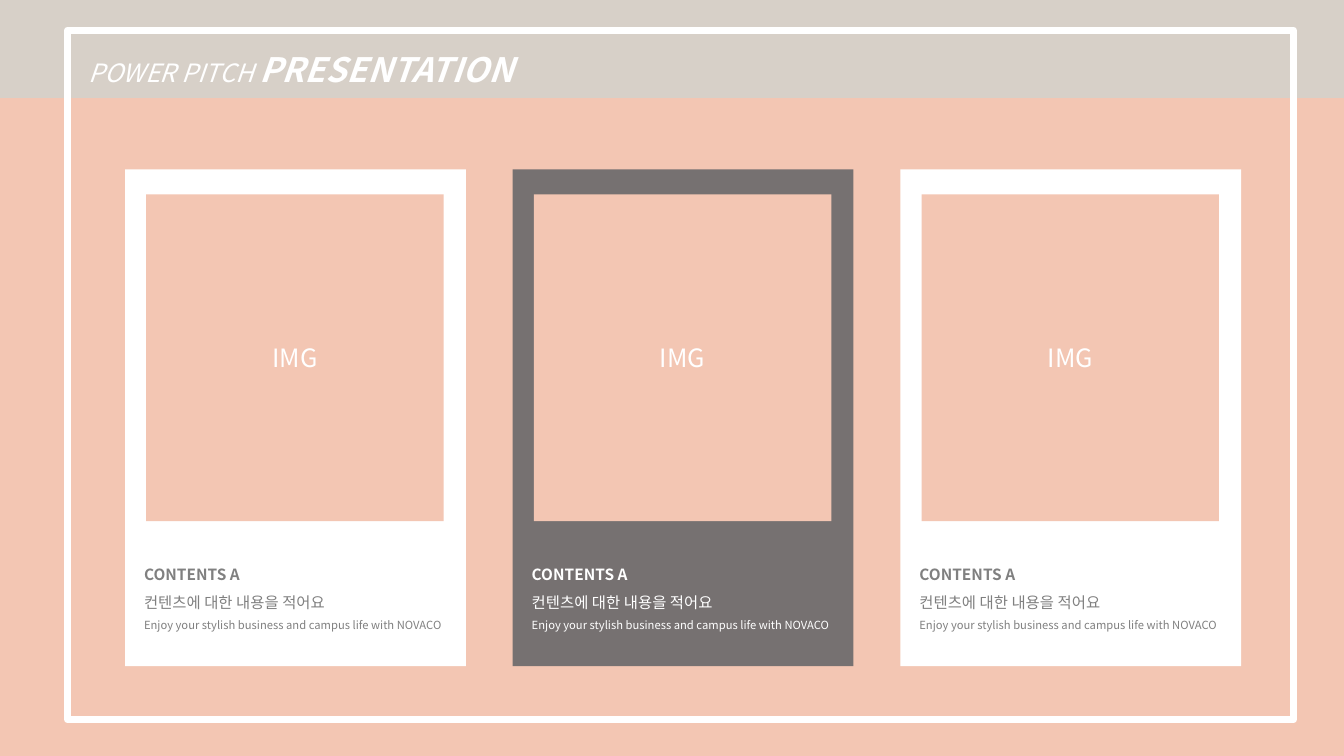
"""Build a slide with three image cards inside a white frame."""
import pptx
import pptx.util
import pptx.dml.color
import pptx.enum.text
import pptx.enum.shapes
import pptx.oxml.ns
import lxml.etree

FONT = "Noto Sans CJK KR"
COLORS = {"peach": "F3C6B3", "sand": "D7D0C8", "white": "FFFFFF",
          "dark": "767171", "gray": "808080"}
TITLE = [[("POWER PITCH ", {"size": 18, "italic": True}),
          ("PRESENTATION", {"size": 24, "italic": True, "bold": True})]]
BODY = [[("CONTENTS A", {"size": 11, "bold": True})],
        [("컨텐츠에 대한 내용을 적어요", {"size": 11})],
        [("Enjoy your stylish business and campus life with NOVACO", {"size": 8})]]
IMAGE = [[("IMG", {"size": 18})]]
CARDS = [("white", "gray"), ("dark", "white"), ("white", "gray")]
LEFT, STEP = 1.24, 3.845

Inches, Pt = pptx.util.Inches, pptx.util.Pt
Align, Anchor = pptx.enum.text.PP_ALIGN, pptx.enum.text.MSO_ANCHOR


def tint(name):
    return pptx.dml.color.RGBColor.from_string(COLORS[name])


def write(frame, paras, color, **layout):
    frame.word_wrap = True
    for i, runs in enumerate(paras):
        para = frame.add_paragraph() if i else frame.paragraphs[0]
        for key, value in layout.items():
            setattr(para, key, value)
        for text, style in runs:
            run = para.add_run()
            run.text = text
            run.font.color.rgb = tint(color)
            for key, value in {"name": FONT, **style}.items():
                setattr(run.font, key, Pt(value) if key == "size" else value)
            tag = pptx.oxml.ns.qn("a:ea")
            lxml.etree.SubElement(run.font._element, tag, typeface=FONT)


def add_box(area, fill=None, line=None):
    kind = pptx.enum.shapes.MSO_SHAPE.RECTANGLE
    box = slide.shapes.add_shape(kind, *map(Inches, area))
    box.shadow.inherit = False
    for part, name in ((box.fill, fill), (box.line.fill, line)):
        if name:
            part.solid()
            part.fore_color.rgb = tint(name)
        else:
            part.background()
    return box


def add_text(area, paras, color):
    frame = slide.shapes.add_textbox(*map(Inches, area)).text_frame
    write(frame, paras, color, line_spacing=1.5)
    frame.auto_size = pptx.enum.text.MSO_AUTO_SIZE.SHAPE_TO_FIT_TEXT


deck = pptx.Presentation()
deck.slide_width, deck.slide_height = Inches(13.33), Inches(7.5)
slide = deck.slides.add_slide(deck.slide_layouts[6])

back = slide.background.fill
back.gradient()
back.gradient_angle = 90
for stop, name in zip(back.gradient_stops, ("peach", "sand")):
    stop.position = 0.87
    stop.color.rgb = tint(name)

border = add_box((0.67, 0.3, 12.16, 6.84), line="white")
border.line.width = Pt(5)
add_text((0.78, 0.24, 5.88, 0.63), TITLE, "white")

for i, (fill, ink) in enumerate(CARDS):
    x = LEFT + i * STEP
    add_box((x, 1.68, 3.38, 4.93), fill)
    image = add_box((x + 0.21, 1.93, 2.95, 3.24), "peach")
    image.text_frame.vertical_anchor = Anchor.MIDDLE
    write(image.text_frame, IMAGE, "white", alignment=Align.CENTER)
    add_text((x + 0.09, 5.47, 3.21, 0.86), BODY, ink)

deck.save("out.pptx")
